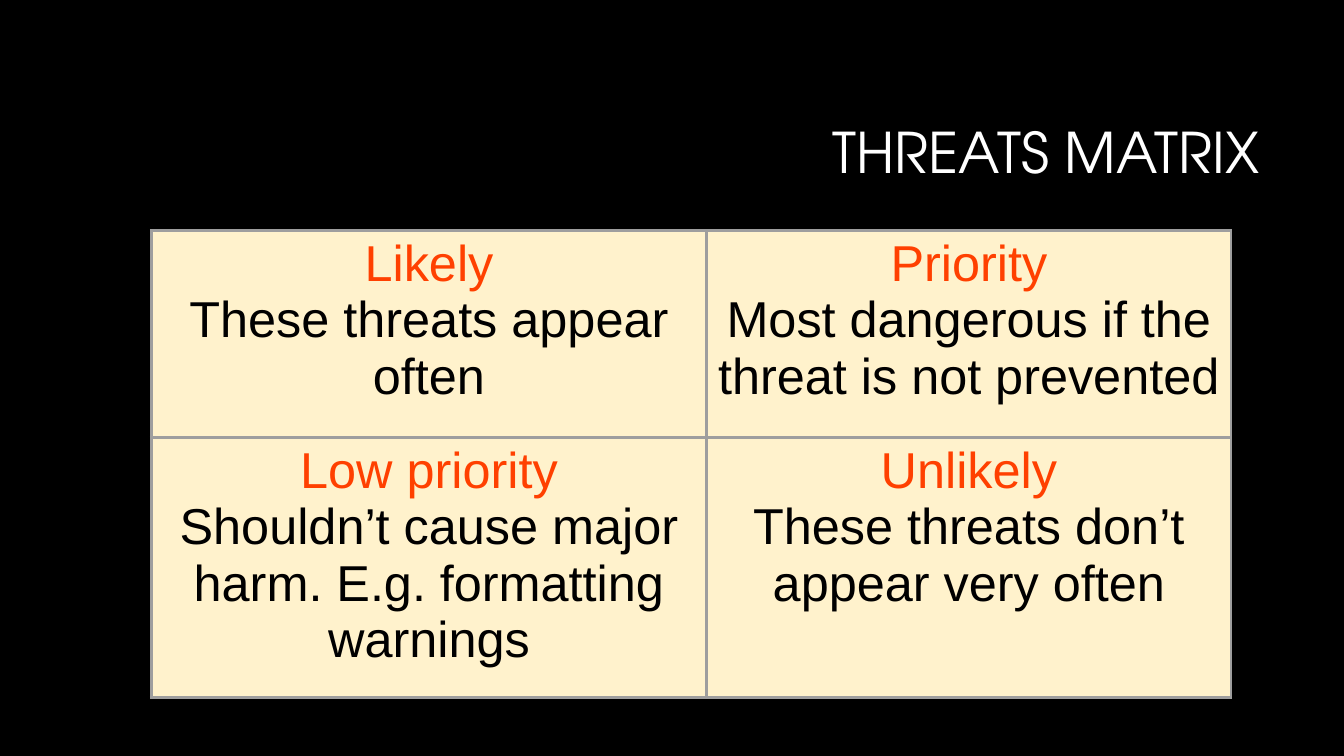
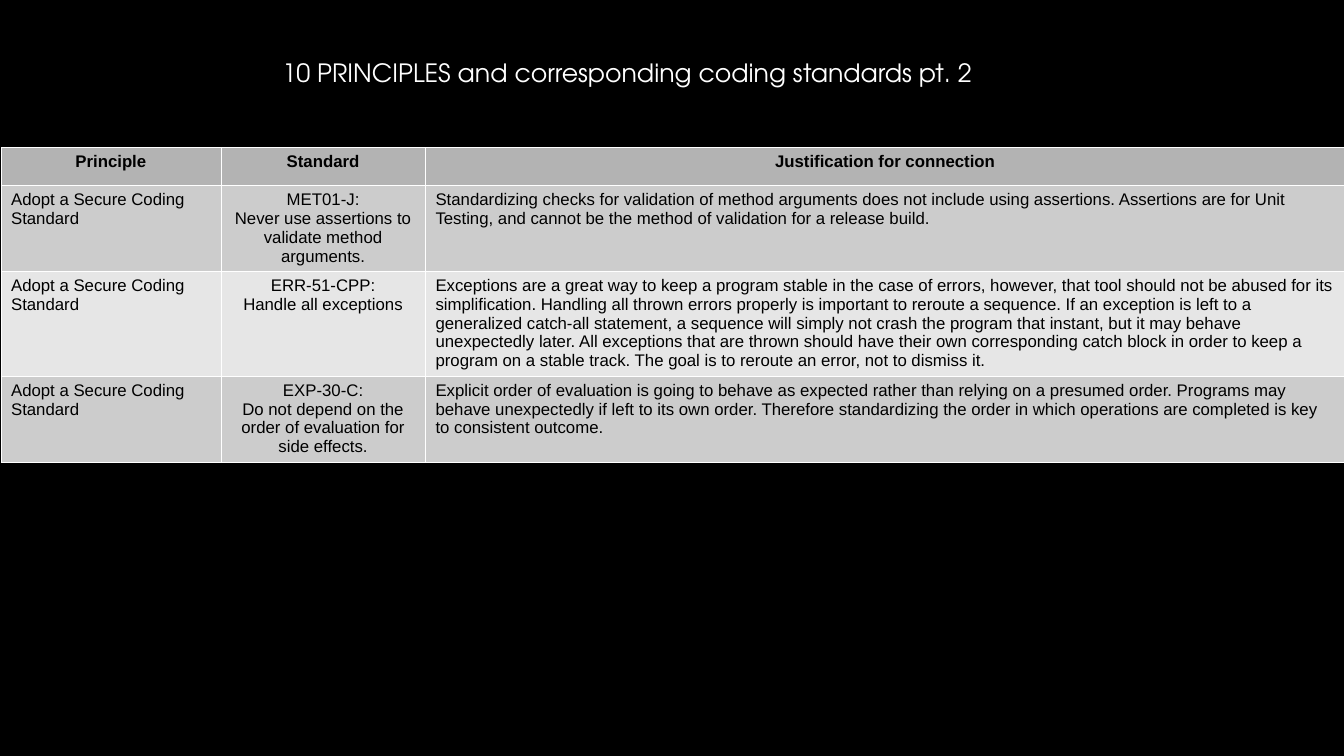
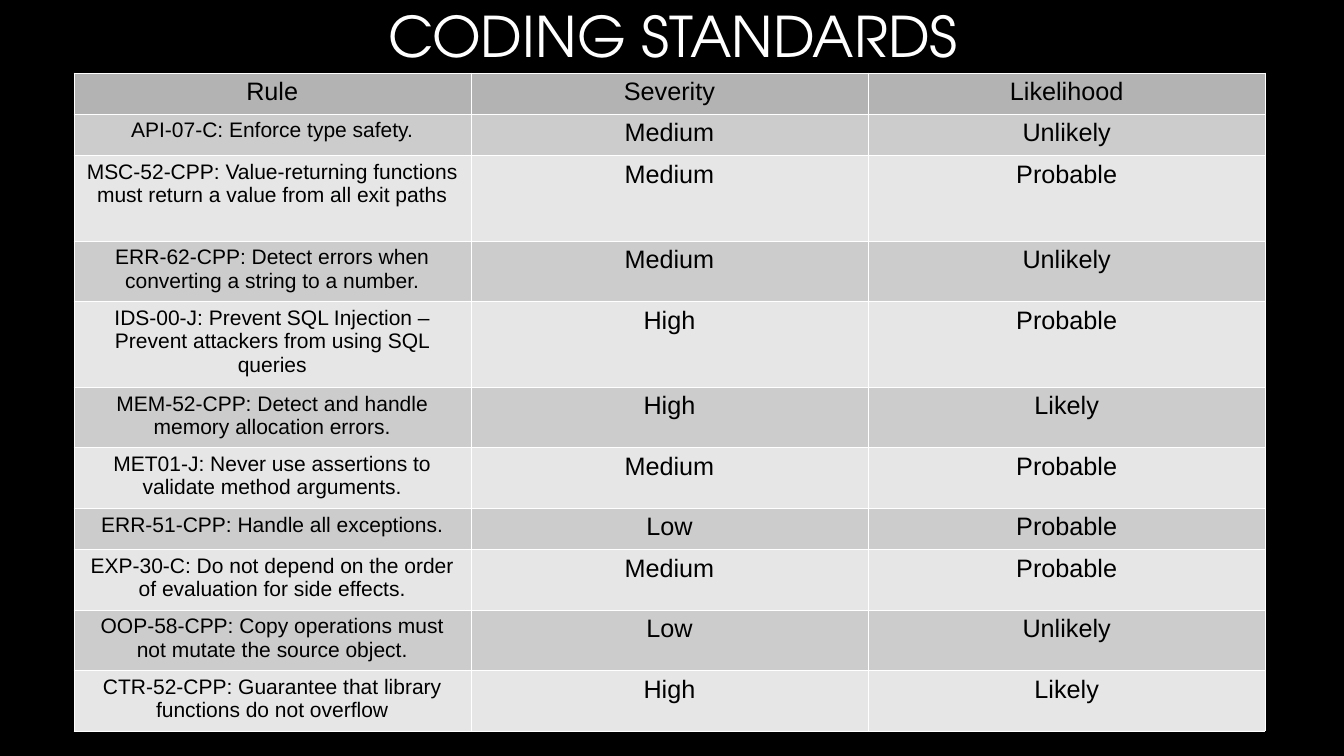
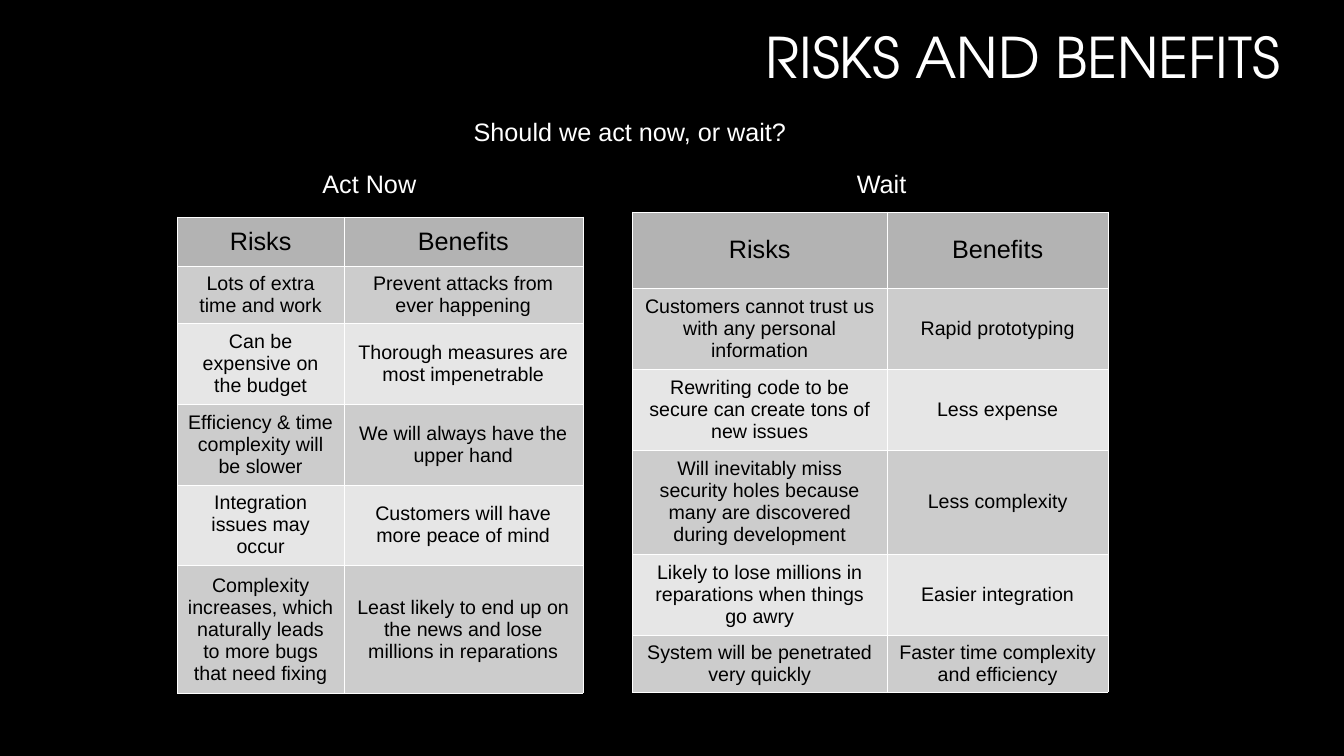
from lxml.etree import SubElement
from pptx import Presentation
from pptx.dml.color import RGBColor
from pptx.enum.text import MSO_ANCHOR, MSO_AUTO_SIZE, PP_ALIGN
from pptx.oxml.ns import qn
from pptx.util import Inches, Pt

BLACK, WHITE = "000000", "FFFFFF"
HEAD, BANDS = "B3B3B3", ("CCCCCC", "E6E6E6")
CREAM, RED, GREY = "FFF2CC", "FF4000", "9E9E9E"
TITLE_FONT, FONT = "TeX Gyre Adventor", "Arial"
LEFT, MID, RIGHT = PP_ALIGN.LEFT, PP_ALIGN.CENTER, PP_ALIGN.RIGHT

PRINCIPLE = "Adopt a Secure Coding Standard"

MATRIX = [
    ("Likely\nThese threats appear often",
     "Priority\nMost dangerous if the threat is not prevented"),
    ("Low priority\nShouldn’t cause major harm. E.g. formatting warnings",
     "Unlikely\nThese threats don’t appear very often"),
]

PRINCIPLES = [
    ("Principle", "Standard", "Justification for connection"),
    (PRINCIPLE,
     "MET01-J:\nNever use assertions to validate method arguments.",
     "Standardizing checks for validation of method arguments does not "
     "include using assertions. Assertions are for Unit Testing, and cannot "
     "be the method of validation for a release build."),
    (PRINCIPLE,
     "ERR-51-CPP:\nHandle all exceptions",
     "Exceptions are a great way to keep a program stable in the case of "
     "errors, however, that tool should not be abused for its "
     "simplification. Handling all thrown errors properly is important to "
     "reroute a sequence. If an exception is left to a generalized catch-all "
     "statement, a sequence will simply not crash the program that instant, "
     "but it may behave unexpectedly later. All exceptions that are thrown "
     "should have their own corresponding catch block in order to keep a "
     "program on a stable track. The goal is to reroute an error, not to "
     "dismiss it."),
    (PRINCIPLE,
     "EXP-30-C:\nDo not depend on the order of evaluation for side effects.",
     "Explicit order of evaluation is going to behave as expected rather "
     "than relying on a presumed order. Programs may behave unexpectedly if "
     "left to its own order. Therefore standardizing the order in which "
     "operations are completed is key to consistent outcome."),
]

STANDARDS = [
    ("Rule", "Severity", "Likelihood"),
    ("API-07-C: Enforce type safety.", "Medium", "Unlikely"),
    ("MSC-52-CPP: Value-returning functions must return a value from all "
     "exit paths", "Medium", "Probable"),
    ("ERR-62-CPP: Detect errors when converting a string to a number.",
     "Medium", "Unlikely"),
    ("IDS-00-J: Prevent SQL Injection – Prevent attackers from using SQL "
     "queries", "High", "Probable"),
    ("MEM-52-CPP: Detect and handle memory allocation errors.",
     "High", "Likely"),
    ("MET01-J: Never use assertions to validate method arguments.",
     "Medium", "Probable"),
    ("ERR-51-CPP: Handle all exceptions.", "Low", "Probable"),
    ("EXP-30-C: Do not depend on the order of evaluation for side effects.",
     "Medium", "Probable"),
    ("OOP-58-CPP: Copy operations must not mutate the source object.",
     "Low", "Unlikely"),
    ("CTR-52-CPP: Guarantee that library functions do not overflow",
     "High", "Likely"),
]

ACT = [
    ("Risks", "Benefits"),
    ("Lots of extra time and work", "Prevent attacks from ever happening"),
    ("Can be expensive on the budget",
     "Thorough measures are most impenetrable"),
    ("Efficiency & time complexity will be slower",
     "We will always have the upper hand"),
    ("Integration issues may occur",
     "Customers will have more peace of mind"),
    ("Complexity increases, which naturally leads to more bugs that need "
     "fixing",
     "Least likely to end up on the news and lose millions in reparations"),
]

WAIT = [
    ("Risks", "Benefits"),
    ("Customers cannot trust us with any personal information",
     "Rapid prototyping"),
    ("Rewriting code to be secure can create tons of new issues",
     "Less expense"),
    ("Will inevitably miss security holes because many are discovered during "
     "development", "Less complexity"),
    ("Likely to lose millions in reparations when things go awry",
     "Easier integration"),
    ("System will be penetrated very quickly",
     "Faster time complexity and efficiency"),
]


def paint(fill, color):
    fill.solid()
    fill.fore_color.rgb = RGBColor.from_string(color)


def style(par, size, color, align=LEFT, name=FONT, bold=False):
    """Format a paragraph and all its runs."""
    par.alignment = align
    for run in par.runs:
        font = run.font
        font.name, font.size, font.bold = name, Pt(size), bold
        font.color.rgb = RGBColor.from_string(color)


def add_slide(prs, text, left, top, width=9.42, height=1.41, size=40,
              align=RIGHT):
    """Add a slide with a placed title."""
    slide = prs.slides.add_slide(prs.slide_layouts[5])
    title = slide.shapes.title
    title.left, title.top = Inches(left), Inches(top)
    title.width, title.height = Inches(width), Inches(height)
    frame = title.text_frame
    frame.text = text
    frame.word_wrap = True
    frame.auto_size = MSO_AUTO_SIZE.NONE
    frame.vertical_anchor = MSO_ANCHOR.MIDDLE
    par = frame.paragraphs[0]
    par.line_spacing = 0.9
    style(par, size, WHITE, align, TITLE_FONT)
    return slide


def add_label(slide, text, left, top, width):
    box = slide.shapes.add_textbox(Inches(left), Inches(top), Inches(width),
                                   Inches(0.38))
    frame = box.text_frame
    frame.text = text
    frame.word_wrap = False
    frame.auto_size = MSO_AUTO_SIZE.SHAPE_TO_FIT_TEXT
    style(frame.paragraphs[0], 18, WHITE)


def set_edge(cell, color, weight):
    """Draw all four borders of a cell."""
    props = cell._tc.get_or_add_tcPr()
    for side in ("a:lnL", "a:lnR", "a:lnT", "a:lnB"):
        line = SubElement(props, qn(side), w=str(Pt(weight)))
        fill = SubElement(line, qn("a:solidFill"))
        SubElement(fill, qn("a:srgbClr"), val=color)


def add_grid(slide, left, top, cols, rows, data, edge=WHITE, weight=0.06):
    """Add a plain bordered table and return it."""
    table = slide.shapes.add_table(
        len(rows), len(cols), Inches(left), Inches(top),
        Inches(sum(cols)), Inches(sum(rows))).table
    table.first_row = table.horz_banding = False
    for col, width in zip(table.columns, cols):
        col.width = Inches(width)
    for row, height, texts in zip(table.rows, rows, data):
        row.height = Inches(height)
        for cell, text in zip(row.cells, texts):
            cell.text_frame.text = text
            set_edge(cell, edge, weight)
    return table


def add_bands(slide, left, top, cols, rows, data, sizes, head=18, bold=False,
              aligns=None, anchor=MSO_ANCHOR.TOP):
    """Add a table with a header row and banded rows below it."""
    table = add_grid(slide, left, top, cols, rows, data)
    aligns = aligns or [MID] * len(cols)
    for i, row in enumerate(table.rows):
        for cell, size, align in zip(row.cells, sizes, aligns):
            paint(cell.fill, BANDS[(i - 1) % 2] if i else HEAD)
            cell.vertical_anchor = anchor
            for par in cell.text_frame.paragraphs:
                if i:
                    style(par, size, BLACK, align)
                else:
                    style(par, head, BLACK, MID, bold=bold)


def add_matrix(prs):
    slide = add_slide(prs, "THREATS MATRIX", 3.17, 0.84)
    table = add_grid(slide, 1.5, 2.29, [5.51, 5.2], [2.05, 2.58], MATRIX,
                     GREY, 2.21)
    for cell in table.iter_cells():
        paint(cell.fill, CREAM)
        name, note = cell.text_frame.paragraphs
        style(name, 36, RED, MID)
        style(note, 36, BLACK, MID)


def add_principles(prs):
    slide = add_slide(
        prs, "10 PRINCIPLES and corresponding coding standards pt. 2",
        2.7, 0.2, 8.3, 0.8, 18, LEFT)
    slide.shapes.title.text_frame.margin_top = Inches(0.32)
    add_bands(slide, 0.01, 1.46, [2.18, 2.03, 9.12], [0.38, 0.85, 1.04, 0.85],
              PRINCIPLES, [12] * 3, 12, True, [LEFT, MID, LEFT])


def add_standards(prs):
    slide = add_slide(prs, "CODING STANDARDS", 0.18, -0.31)
    one, two, three = 0.41, 0.6, 0.85
    rows = [one, one, three, two, three, two, two, one, two, two, two]
    add_bands(slide, 0.73, 0.72, [3.94] * 3, rows, STANDARDS, [15, 18, 18])


def add_risks(prs):
    slide = add_slide(prs, "RISKS AND BENEFITS", 3.38, -0.11)
    add_label(slide, "Should we act now, or wait?", 4.6, 1.1, 3.3)
    add_label(slide, "Act Now", 3.1, 1.62, 1.13)
    add_label(slide, "Wait", 8.4, 1.62, 0.69)
    for left, top, cols, rows, data in (
            (1.76, 2.15, [1.65, 2.37], [0.49] * 6, ACT),
            (6.27, 2.1, [2.53, 2.19], [0.76] * 5 + [0.5], WAIT)):
        add_bands(slide, left, top, cols, rows, data, [14, 14],
                  anchor=MSO_ANCHOR.MIDDLE)


def main():
    prs = Presentation()
    prs.slide_width, prs.slide_height = Inches(13.33), Inches(7.5)
    paint(prs.slide_master.background.fill, BLACK)
    add_matrix(prs)
    add_principles(prs)
    add_standards(prs)
    add_risks(prs)
    prs.save("out.pptx")


if __name__ == "__main__":
    main()
